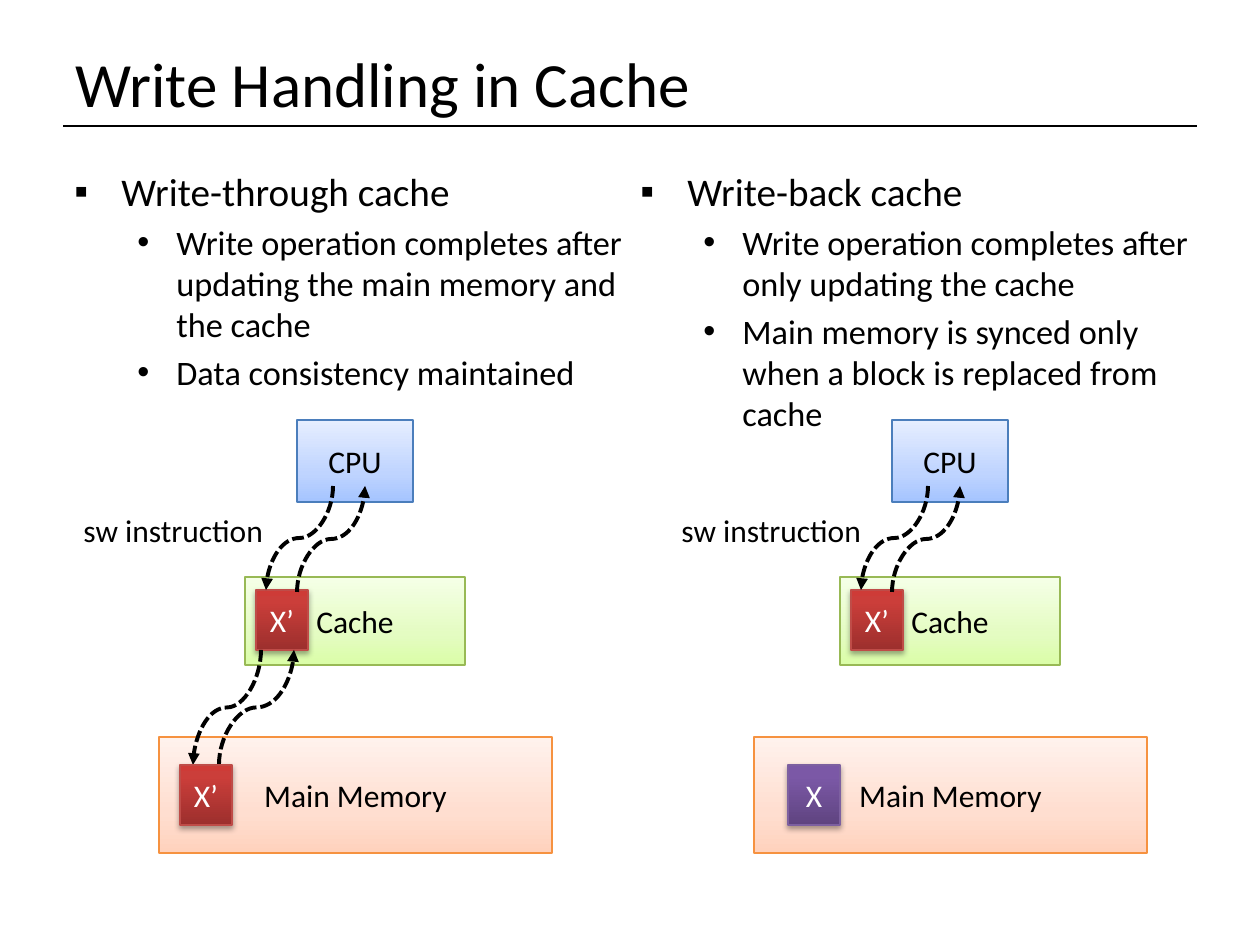
"""Build a slide comparing write-through and write-back cache handling."""
import pptx
import pptx.util
import pptx.dml.color
import pptx.enum.dml
import pptx.enum.shapes
import pptx.enum.text
import pptx.oxml.ns
import lxml.etree

RGB = pptx.dml.color.RGBColor
qn = pptx.oxml.ns.qn
PIXEL = 914400 / 126
FONT = "Calibri"
BLACK = RGB(0, 0, 0)
WHITE = RGB(255, 255, 255)
BLUE = RGB(0x4B, 0x7E, 0xBC)
GREEN = RGB(0x98, 0xB9, 0x55)
ORANGE = RGB(0xF6, 0x92, 0x40)
RED = RGB(0xBF, 0x4C, 0x48)
PURPLE = RGB(0x7D, 0x60, 0xA0)
GRADIENTS = {
    BLUE: ((0, "A4C4FF"), (35, "BFD4FF"), (100, "E6EEFF")),
    GREEN: ((0, "DAFDA7"), (35, "E4FCC2"), (100, "F5FFE7")),
    ORANGE: ((0, "FFD2BD"), (35, "FFDED0"), (100, "FFF2ED")),
    RED: ((0, "9C2F2D"), (80, "CB3E3A"), (100, "CE3B37")),
    PURPLE: ((0, "5F4480"), (80, "7B58A6"), (100, "7C57A8")),
}
THROUGH_POINTS = (
    "Write-through cache",
    "Write operation completes after updating the main memory and the cache",
    "Data consistency maintained",
)
BACK_POINTS = (
    "Write-back cache",
    "Write operation completes after only updating the cache",
    "Main memory is synced only when a block is replaced from cache",
)


def px(*lengths):
    return [pptx.util.Emu(round(length * PIXEL)) for length in lengths]


def add_xml(parent, tag, **attributes):
    child = lxml.etree.SubElement(parent, qn(tag))
    for key, value in attributes.items():
        child.set(key, str(value))
    return child


def style_runs(paragraph, size, color=BLACK):
    for run in paragraph.runs:
        run.font.name = FONT
        run.font.size = pptx.util.Pt(size)
        run.font.color.rgb = color


def add_label(slide, text, bounds, size):
    label = slide.shapes.add_textbox(*px(*bounds))
    label.text_frame.text = text
    label.text_frame.word_wrap = False
    label.text_frame.vertical_anchor = pptx.enum.text.MSO_ANCHOR.MIDDLE
    style_runs(label.text_frame.paragraphs[0], size)


def add_points(slide, points, bounds):
    frame = slide.shapes.add_textbox(*px(*bounds)).text_frame
    frame.word_wrap = True
    for index, point in enumerate(points):
        paragraph = frame.add_paragraph() if index else frame.paragraphs[0]
        level = min(index, 1)
        bullet, size, margin, indent = (("▪", 22.4, 47, -47), ("•", 19.6, 102, -39))[level]
        paragraph.text = point
        paragraph.level = level
        paragraph.space_before = pptx.util.Pt(size * 0.2)
        style_runs(paragraph, size)
        properties = paragraph._p.get_or_add_pPr()
        margin, indent = px(margin, indent)
        properties.set("marL", str(int(margin)))
        properties.set("indent", str(int(indent)))
        add_xml(properties, "a:buFont", typeface="Arial")
        add_xml(properties, "a:buChar", char=bullet)


def add_box(slide, text, bounds, color, text_color=BLACK):
    box = slide.shapes.add_shape(pptx.enum.shapes.MSO_SHAPE.RECTANGLE, *px(*bounds))
    box.shadow.inherit = False
    box.fill.gradient()
    box.fill.gradient_angle = 90
    stops = box._element.spPr.find(".//" + qn("a:gsLst"))
    for stop in list(stops):
        stops.remove(stop)
    for position, shade in GRADIENTS[color]:
        stop = add_xml(stops, "a:gs", pos=position * 1000)
        add_xml(stop, "a:srgbClr", val=shade)
    box.line.color.rgb = color
    box.line.width = pptx.util.Pt(0.75)
    box.text_frame.text = text
    box.text_frame.word_wrap = False
    box.text_frame.vertical_anchor = pptx.enum.text.MSO_ANCHOR.MIDDLE
    paragraph = box.text_frame.paragraphs[0]
    paragraph.alignment = pptx.enum.text.PP_ALIGN.CENTER
    style_runs(paragraph, 18, text_color)
    return box


def add_block(slide, text, left, top, color):
    block = add_box(slide, text, (left, top, 52, 60), color, WHITE)
    effects = block._element.spPr.find(qn("a:effectLst"))
    shadow = add_xml(effects, "a:outerShdw", blurRad=40000, dist=23000, dir=5400000, rotWithShape=0)
    add_xml(add_xml(shadow, "a:srgbClr", val="000000"), "a:alpha", val=35000)


def add_line(slide, kind, ends, width):
    line = slide.shapes.add_connector(kind, *px(*ends))
    line.line.color.rgb = BLACK
    line.line.width = pptx.util.Pt(width)
    add_xml(line._element.spPr, "a:effectLst")
    return line


def add_transfer(slide, x1, y1, x2, y2):
    """Draw a dashed curve that leaves and arrives vertically."""
    middle_x, middle_y = (x1 + x2) / 2, (y1 + y2) / 2
    along, across = (y2 - y1) / 2, (x1 - x2) / 2
    ends = (middle_x - along, middle_y - across, middle_x + along, middle_y + across)
    transfer = add_line(slide, pptx.enum.shapes.MSO_CONNECTOR.CURVE, ends, 2.25)
    transfer.line.dash_style = pptx.enum.dml.MSO_LINE.SQUARE_DOT
    properties = transfer._element.spPr
    properties.find(qn("a:xfrm")).set("rot", "5400000")
    add_xml(properties.find(qn("a:ln")), "a:tailEnd", type="triangle")


def add_hierarchy(slide, left, label_left):
    add_box(slide, "CPU", (left + 138, 420, 116, 82), BLUE)
    add_box(slide, "Cache", (left + 86, 577, 220, 88), GREEN)
    add_box(slide, "Main Memory", (left, 737, 393, 116), ORANGE)
    add_block(slide, "X’", left + 97, 590, RED)
    add_transfer(slide, left + 174, 486, left + 107, 590)
    add_transfer(slide, left + 138, 592, left + 206, 486)
    add_label(slide, "sw instruction", (label_left, 505, 207, 50), 18)


def main():
    deck = pptx.Presentation()
    deck.slide_width, deck.slide_height = px(1260, 945)
    slide = deck.slides.add_slide(deck.slide_layouts[6])
    add_line(slide, pptx.enum.shapes.MSO_CONNECTOR.STRAIGHT, (63, 126, 1197, 126), 0.75)
    add_label(slide, "Write Handling in Cache", (63, 38, 1134, 88), 36)
    add_points(slide, THROUGH_POINTS, (62, 161, 588, 220))
    add_points(slide, BACK_POINTS, (628, 161, 588, 237))
    add_hierarchy(slide, 754, 669)
    add_block(slide, "X", 788, 765, PURPLE)
    add_hierarchy(slide, 159, 71)
    add_transfer(slide, 261, 650, 193, 765)
    add_transfer(slide, 219, 765, 294, 650)
    add_block(slide, "X’", 180, 765, RED)
    deck.save("out.pptx")


main()
